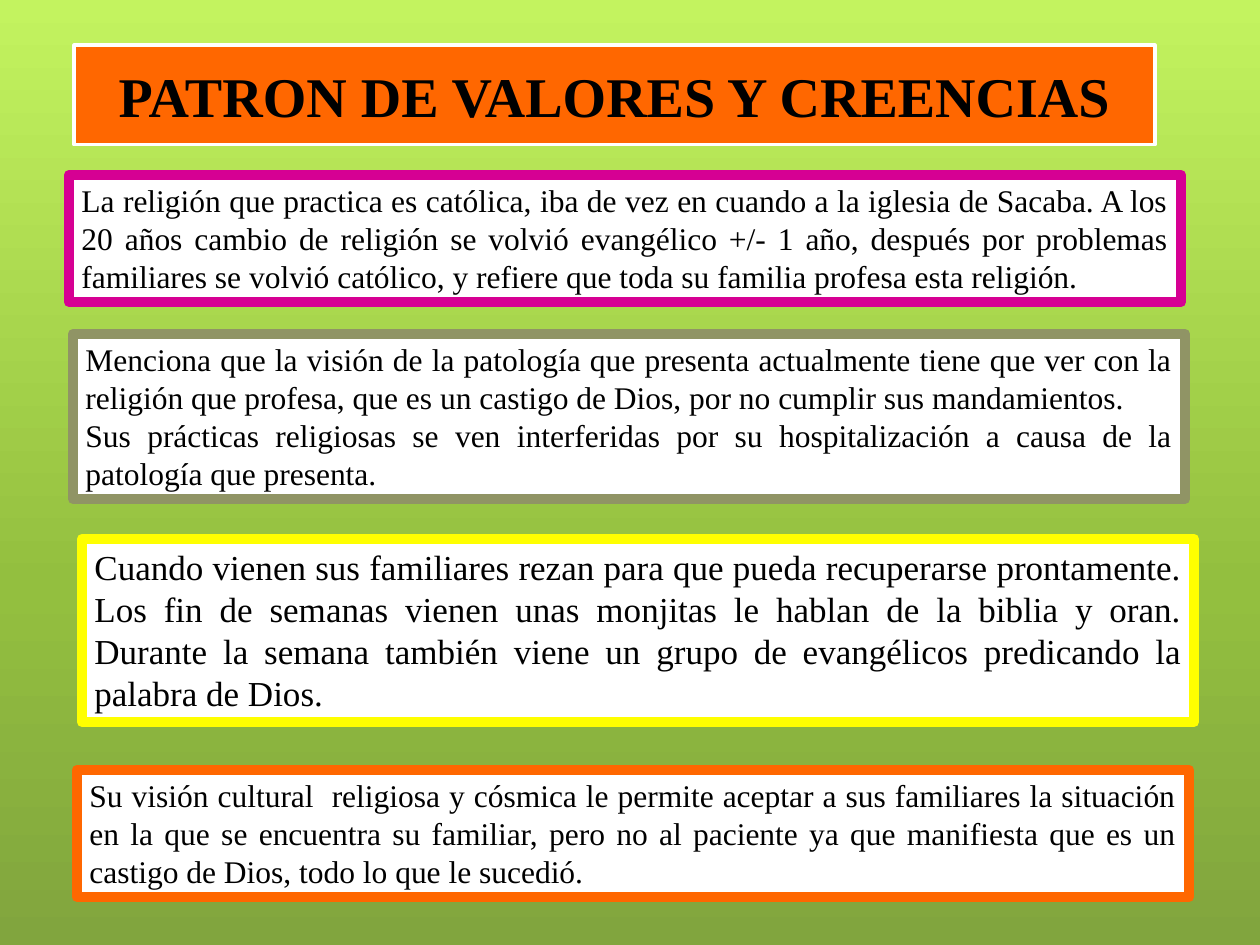
from copy import deepcopy

from pptx import Presentation
from pptx.dml.color import RGBColor
from pptx.enum.text import MSO_ANCHOR as Anchor, MSO_AUTO_SIZE as AutoSize, PP_ALIGN as Align
from pptx.oxml.ns import qn
from pptx.util import Emu, Pt

COLORS = {
    "top": "C3F35F", "middle": "93BF3F", "bottom": "81A53E",
    "orange": "FF6700", "magenta": "D60093", "olive": "909465",
    "yellow": "FFFF00", "white": "FFFFFF", "black": "000000",
}
PX = 914400 / 126
TITLE = "PATRON DE VALORES Y CREENCIAS"
NOTES = [
    ((69, 175), 127, "magenta", 18, [
        "La religión que practica es católica, iba de vez en cuando a la iglesia de Sacaba. "
        "A los 20 años cambio de religión se volvió evangélico +/- 1 año, después por problemas "
        "familiares se volvió católico, y refiere que toda su familia profesa esta religión.",
    ]),
    ((73, 334), 165, "olive", 18, [
        "Menciona que la visión de la patología que presenta actualmente tiene que ver con la "
        "religión que profesa, que es un castigo de Dios, por no cumplir sus mandamientos.",
        "Sus prácticas religiosas se ven interferidas por su hospitalización a causa de la "
        "patología que presenta.",
    ]),
    ((82, 539), 183, "yellow", 20, [
        "Cuando vienen sus familiares rezan para que pueda recuperarse prontamente. Los fin de "
        "semanas vienen unas monjitas le hablan de la biblia y oran. Durante la semana también "
        "viene un grupo de evangélicos predicando la palabra de Dios.",
    ]),
    ((77, 770), 127, "orange", 18, [
        "Su visión cultural  religiosa y cósmica le permite aceptar a sus familiares la situación "
        "en la que se encuentra su familiar, pero no al paciente ya que manifiesta que es un "
        "castigo de Dios, todo lo que le sucedió.",
    ]),
]


def px(length):
    return Emu(round(length * PX))


def color(name):
    return RGBColor.from_string(COLORS[name])


def assign(target, values):
    for name, value in values.items():
        setattr(target, name, value)


class SlideBuilder:
    """Holds the text style and the slide being built."""

    font = "Times New Roman"
    note_width = 1112

    def __init__(self, page):
        self.page = page

    def background(self, names, positions):
        fill = self.page.background.fill
        fill.gradient()
        fill.gradient_angle = 270
        stops = self.page.element.find(".//" + qn("a:gsLst"))
        stops.insert(1, deepcopy(stops[0]))
        for stop, element, name, position in zip(fill.gradient_stops, stops, names, positions):
            stop.color.rgb = color(name)
            element.set("pos", str(position * 1000))

    def decorate(self, box, fill, line, width):
        box.fill.solid()
        box.fill.fore_color.rgb = color(fill)
        box.line.color.rgb = color(line)
        box.line.width = Pt(width)

    def add_text(self, frame, texts, align, size, bold=False):
        for index, text in enumerate(texts):
            para = frame.add_paragraph() if index else frame.paragraphs[0]
            para.alignment = align
            span = para.add_run()
            span.text = text
            assign(span.font, {"name": self.font, "size": Pt(size), "bold": bold})
            span.font.color.rgb = color("black")

    def title(self, text, left, top, width, height):
        box = self.page.shapes.title
        assign(box, {"left": px(left), "top": px(top), "width": px(width), "height": px(height)})
        self.decorate(box, "orange", "white", 1.75)
        assign(box.text_frame, {
            "word_wrap": True, "auto_size": AutoSize.NONE, "vertical_anchor": Anchor.MIDDLE,
        })
        self.add_text(box.text_frame, [text], Align.CENTER, 32, True)

    def note(self, corner, height, line, size, texts):
        left, top = corner
        box = self.page.shapes.add_textbox(px(left), px(top), px(self.note_width), px(height))
        self.decorate(box, "white", line, 6)
        assign(box.text_frame, {"word_wrap": True, "auto_size": AutoSize.SHAPE_TO_FIT_TEXT})
        self.add_text(box.text_frame, texts, Align.JUSTIFY, size)


def main():
    deck = Presentation()
    assign(deck, {"slide_width": px(1260), "slide_height": px(945)})
    builder = SlideBuilder(deck.slides.add_slide(deck.slide_layouts[5]))
    builder.background(("top", "middle", "bottom"), (0, 62, 100))
    builder.title(TITLE, 74, 45, 1081, 100)
    for note in NOTES:
        builder.note(*note)
    deck.save("out.pptx")


if __name__ == "__main__":
    main()
